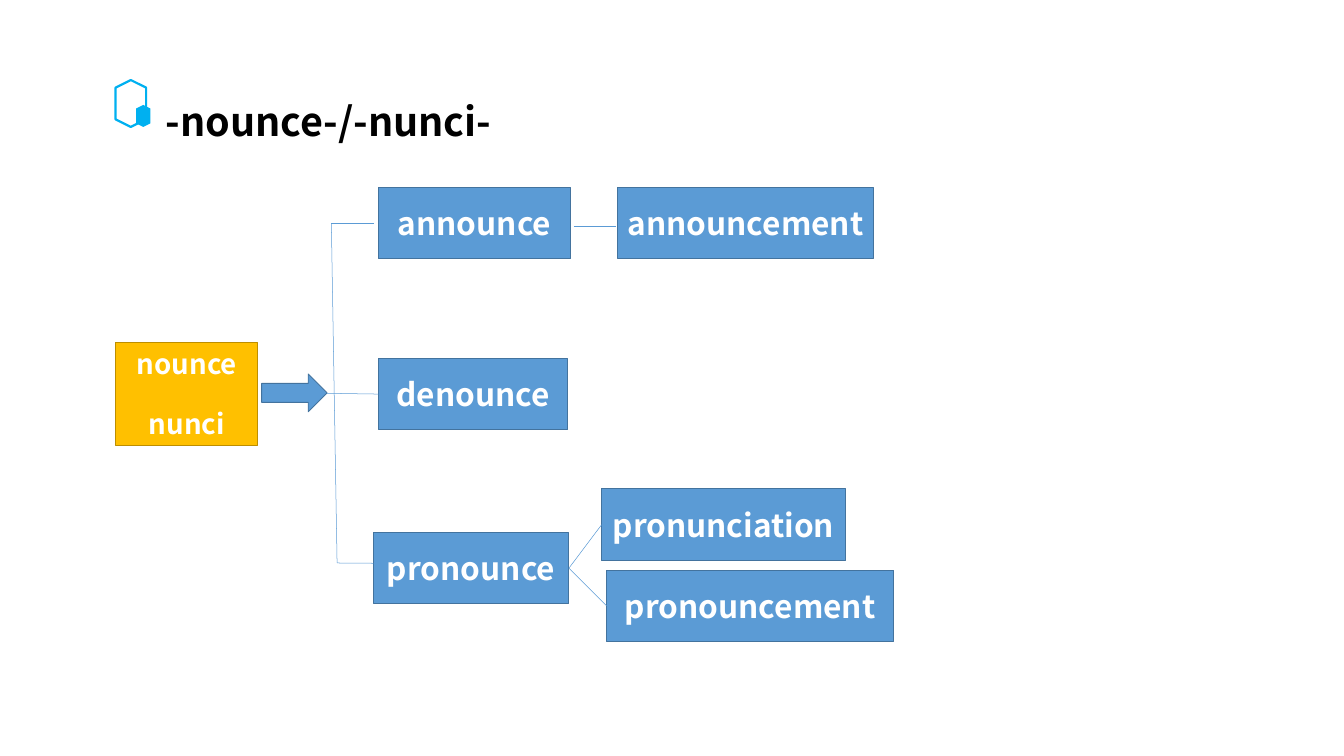
from pptx import Presentation
from pptx import util as u
from pptx.dml.color import RGBColor
from pptx.enum import shapes, text
from pptx.oxml.ns import qn
from lxml import etree

BLUE, BLUE_EDGE = "5B9BD5", "43739E"
GOLD, GOLD_EDGE = "FFC000", "BD8E00"
CYAN, WHITE, BLACK = "00B0F0", "FFFFFF", "000000"
FONT = "Noto Sans CJK SC"
TOP, LEFT, BOTTOM, RIGHT = range(4)


def color(value):
    return RGBColor.from_string(value)


class WordMap:
    """Draws word-root boxes and links on one slide in a shared style."""

    def __init__(self, presentation):
        self.slide = presentation.slides.add_slide(presentation.slide_layouts[5])

    def frame(self, shape, **values):
        for name, value in values.items():
            setattr(shape.text_frame, name, value)

    def label(self, paragraph, words, size, fill, align):
        paragraph.alignment = align
        run = paragraph.add_run()
        run.text = words
        for name, value in {"name": FONT, "size": u.Pt(size), "bold": True}.items():
            setattr(run.font, name, value)
        run.font.color.rgb = color(fill)

    def title(self, words, left, top, width, height):
        shape = self.slide.shapes.title
        place = {"left": left, "top": top, "width": width, "height": height}
        for name, value in place.items():
            setattr(shape, name, u.Pt(value))
        self.frame(shape, word_wrap=False, vertical_anchor=text.MSO_ANCHOR.TOP,
                   auto_size=text.MSO_AUTO_SIZE.SHAPE_TO_FIT_TEXT)
        self.label(shape.text_frame.paragraphs[0], words, 40, BLACK, text.PP_ALIGN.LEFT)

    def shape(self, kind, bounds, fill=None, edge=None, weight=1, rotation=0):
        shape = self.slide.shapes.add_shape(kind, *map(u.Pt, bounds))
        shape.shadow.inherit = False
        shape.rotation = rotation
        if fill:
            shape.fill.solid()
            shape.fill.fore_color.rgb = color(fill)
        else:
            shape.fill.background()
        if edge:
            shape.line.color.rgb = color(edge)
            shape.line.width = u.Pt(weight)
        else:
            shape.line.fill.background()
        return shape

    def box(self, lines, bounds, fill=BLUE, edge=BLUE_EDGE, size=32, gap=0):
        shape = self.shape(shapes.MSO_SHAPE.RECTANGLE, bounds, fill, edge)
        self.frame(shape, word_wrap=True, vertical_anchor=text.MSO_ANCHOR.MIDDLE,
                   margin_top=0, margin_bottom=0)
        for index, words in enumerate(lines):
            frame = shape.text_frame
            paragraph = frame.add_paragraph() if index else frame.paragraphs[0]
            paragraph.space_before = u.Pt(gap if index else 0)
            self.label(paragraph, words, size, WHITE, text.PP_ALIGN.CENTER)
        return shape

    def link(self, start, end, source=None, target=None):
        line = self.slide.shapes.add_connector(
            shapes.MSO_CONNECTOR.STRAIGHT, *map(u.Pt, start + end))
        line.line.color.rgb = color(BLUE)
        line.line.width = u.Pt(0.5)
        etree.SubElement(line._element.spPr, qn("a:effectLst"))
        if source:
            line.begin_connect(source, RIGHT)
        if target:
            line.end_connect(target, LEFT)


def main():
    presentation = Presentation()
    presentation.slide_width, presentation.slide_height = u.Pt(1360.8), u.Pt(765.4)
    word_map = WordMap(presentation)

    hexagon = shapes.MSO_SHAPE.HEXAGON
    word_map.shape(hexagon, (108.7, 89.3, 47.5, 31), edge=CYAN, weight=2.25, rotation=90)
    word_map.shape(hexagon, (133.9, 110.2, 22.3, 14.4), fill=CYAN, rotation=90)
    word_map.title("-nounce-/-nunci-", 160.6, 95, 376.6, 55.4)

    word_map.box(["nounce", "nunci"], (117.4, 346.3, 143.3, 104.4),
                 GOLD, GOLD_EDGE, size=28, gap=27)
    word_map.shape(shapes.MSO_SHAPE.RIGHT_ARROW, (265, 378.7, 66.2, 38.2), BLUE, BLUE_EDGE)

    places = {
        "announce": (383, 190, 195, 72),
        "denounce": (383, 363, 192, 72),
        "pronounce": (378, 539.3, 198, 72),
        "announcement": (625.7, 189.4, 258.5, 72),
        "pronunciation": (609.1, 494.6, 247, 73.4),
        "pronouncement": (614.2, 577.4, 290.9, 72),
    }
    boxes = {word: word_map.box([word], bounds) for word, bounds in places.items()}

    trunk_top, trunk_bottom = (335.5, 226), (341.3, 570)
    word_map.link(trunk_top, trunk_bottom)
    word_map.link(trunk_top, (378.7, 226))
    word_map.link(trunk_bottom, (378, 570.3))
    word_map.link((331.2, 398.2), (383, 399), target=boxes["denounce"])
    word_map.link((581, 229), (624.2, 229))
    for word in ("pronunciation", "pronouncement"):
        word_map.link((576, 575.3), places[word][:2], boxes["pronounce"], boxes[word])

    presentation.save("out.pptx")


if __name__ == "__main__":
    main()
